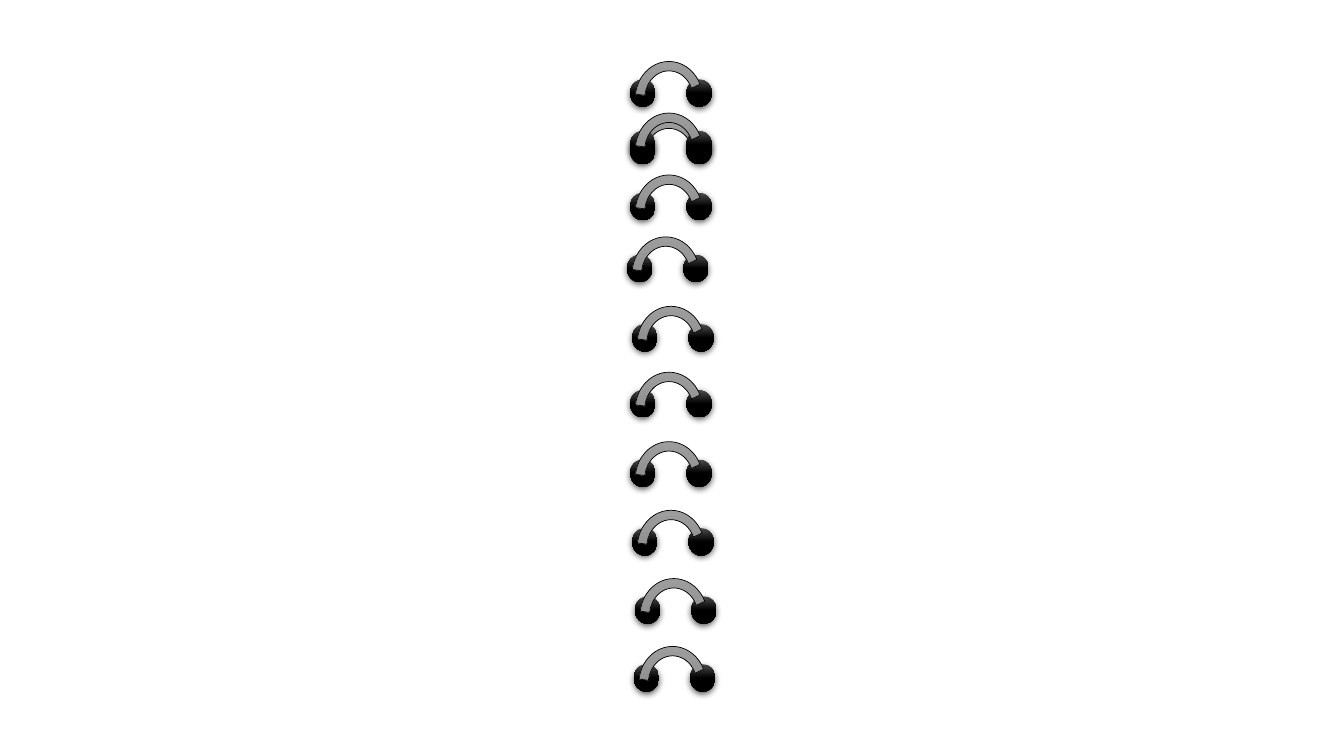
from lxml.etree import SubElement
from pptx import Presentation
from pptx.dml.color import RGBColor
from pptx.enum.shapes import MSO_SHAPE as SHAPE
from pptx.oxml.ns import qn
from pptx.util import Cm, Pt

COLORS = {
    "hole_top": "4B4B4B",
    "black": "000000",
    "wire_top": "9D9D9D",
    "wire_mid": "909090",
    "wire_end": "7C7C7C",
}
HOLE_FILL = ("hole_top", "black", "black")
WIRE_FILL = ("wire_top", "wire_mid", "wire_end")

# Sizes and offsets inside one ring, in cm
HOLE_W, HOLE_H = 0.64, 0.69
HOLE_STEP, HOLE_DROP = 1.42, 0.45
WIRE_W, WIRE_H, WIRE_INSET = 1.7, 1.88, 0.13
WIRE_START, WIRE_END, WIRE_THICKNESS = 187.93, 334.93, 0.139
ANGLE_UNIT = 0.6  # adjustment value per degree

# Left and top of each ring in cm, from back to front
RINGS = [
    (15.88, 1.55), (15.93, 7.72), (15.88, 4.41), (15.8, 5.97),
    (15.88, 3.0), (15.88, 2.85), (15.88, 9.38), (15.88, 11.13),
    (15.93, 12.86), (16.0, 14.58), (15.97, 16.29),
]


def add_color(parent, name):
    return SubElement(parent, qn("a:srgbClr"), val=COLORS[name])


def fill_gradient(sp, names):
    """Fill from top to bottom with evenly spaced stops."""
    sp.fill.gradient()
    grad = sp._element.spPr.find(qn("a:gradFill"))
    for child in list(grad):
        grad.remove(child)
    stops = SubElement(grad, qn("a:gsLst"))
    for i, name in enumerate(names):
        pos = 100000 * i // (len(names) - 1)
        add_color(SubElement(stops, qn("a:gs"), pos=str(pos)), name)
    SubElement(grad, qn("a:lin"), ang="5400000", scaled="0")


def add_shadow(sp):
    effects = sp._element.spPr.find(qn("a:effectLst"))
    shadow = SubElement(effects, qn("a:outerShdw"), blurRad=str(Pt(4.5)),
                        dist=str(Pt(1.5)), dir="5400000", rotWithShape="0")
    SubElement(add_color(shadow, "black"), qn("a:alpha"), val="63000")


def add_part(shapes, kind, left, top, width, height, names):
    sp = shapes.add_shape(kind, Cm(left), Cm(top), Cm(width), Cm(height))
    sp.shadow.inherit = False
    fill_gradient(sp, names)
    return sp


def add_ring(slide, left, top):
    shapes = slide.shapes.add_group_shape().shapes

    # Two punched holes
    for i in range(2):
        hole = add_part(shapes, SHAPE.OVAL, left + i * HOLE_STEP,
                        top + HOLE_DROP, HOLE_W, HOLE_H, HOLE_FILL)
        hole.line.fill.background()
        add_shadow(hole)

    # Wire that joins them
    wire = add_part(shapes, SHAPE.BLOCK_ARC, left + WIRE_INSET, top,
                    WIRE_W, WIRE_H, WIRE_FILL)
    wire.adjustments[0] = WIRE_START * ANGLE_UNIT
    wire.adjustments[1] = WIRE_END * ANGLE_UNIT
    wire.adjustments[2] = WIRE_THICKNESS
    wire.line.color.rgb = RGBColor.from_string(COLORS["black"])
    wire.line.width = Pt(0.5)


def main():
    prs = Presentation()
    prs.slide_width, prs.slide_height = Cm(33.87), Cm(19.05)
    slide = prs.slides.add_slide(prs.slide_layouts[6])
    for left, top in RINGS:
        add_ring(slide, left, top)
    prs.save("out.pptx")


if __name__ == "__main__":
    main()
